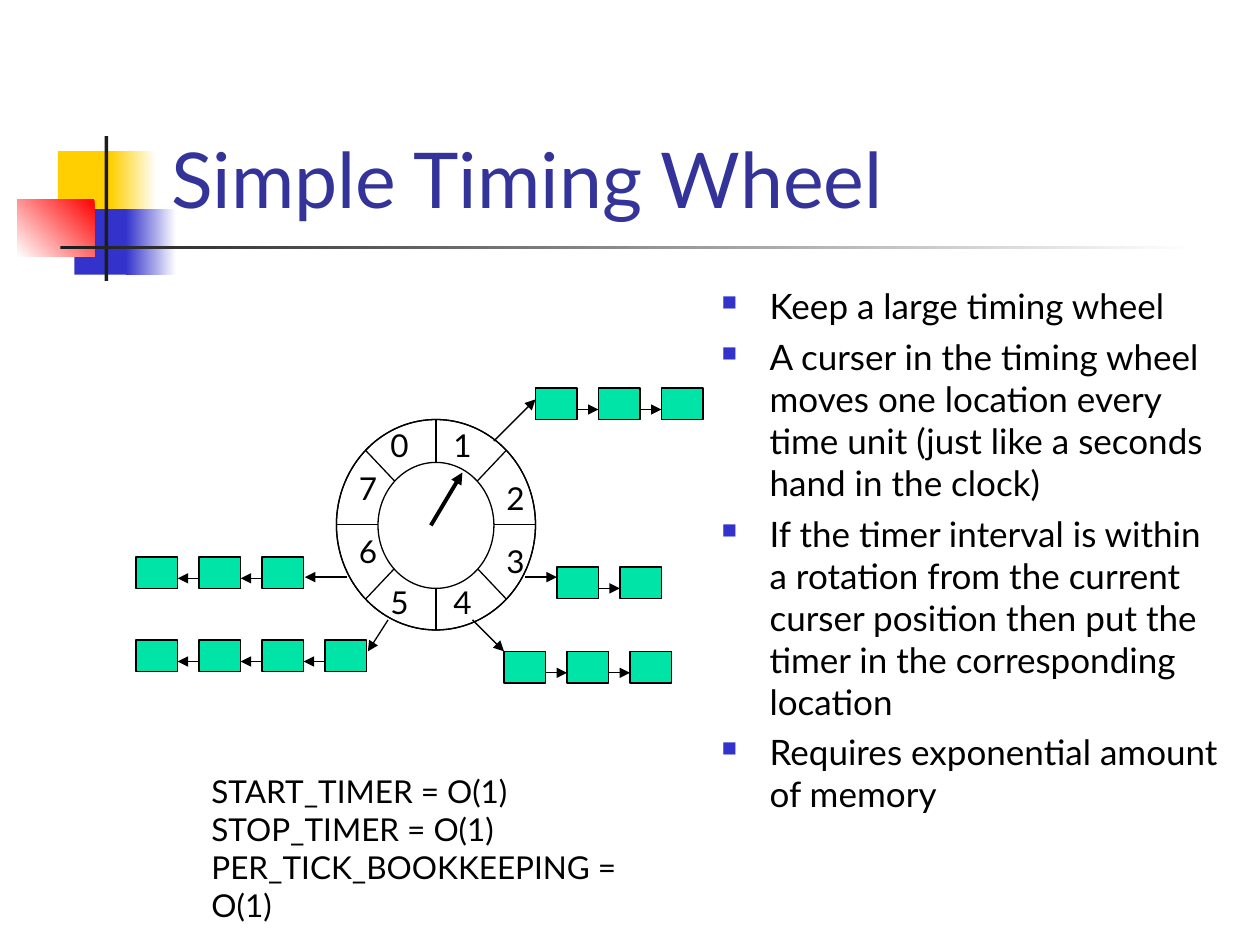
from dataclasses import dataclass

import lxml.etree
import pptx
import pptx.dml.color
import pptx.enum.shapes
import pptx.enum.text
import pptx.oxml.ns
import pptx.util

Inches = pptx.util.Inches
Pt = pptx.util.Pt
SHAPE = pptx.enum.shapes.MSO_SHAPE
ANCHOR = pptx.enum.text.MSO_ANCHOR
qn = pptx.oxml.ns.qn

COLORS = {
    "white": "FFFFFF", "black": "000000", "ink": "1C1C1C", "yellow": "FFCF01",
    "blue": "3333CC", "red": "FF0000", "title": "333399", "timer": "00E4A8",
}
BOX_W, BOX_H, PITCH, LINK_DROP = 0.33, 0.25, 0.5, 0.17


@dataclass
class Decoration:
    left: float
    top: float
    width: float
    height: float
    color: str
    fade_angle: int | None = None


@dataclass
class Chain:
    left: float
    top: float
    count: int
    leftward: bool
    start: tuple[float, float]
    end: tuple[float, float]


@dataclass
class SlotLabel:
    text: str
    left: float
    top: float


DECORATIONS = [
    Decoration(0.46, 1.2, 0.48, 0.52, "yellow"),
    Decoration(0.88, 1.2, 0.36, 0.52, "yellow", 0),
    Decoration(0.59, 1.66, 0.46, 0.52, "blue"),
    Decoration(1, 1.66, 0.4, 0.52, "blue", 0),
    Decoration(0.14, 1.58, 0.61, 0.46, "red", 225),
    Decoration(0.83, 1.08, 0.03, 1.15, "ink"),
    Decoration(0.48, 1.95, 9, 0.03, "ink", 0),
]
CHAINS = [
    Chain(4.25, 3.08, 3, False, (3.92, 3.5), (4.25, 3.17)),
    Chain(4.42, 4.5, 2, False, (4.17, 4.58), (4.42, 4.58)),
    Chain(4, 5.17, 3, False, (3.75, 4.92), (4, 5.17)),
    Chain(1.08, 5.08, 4, True, (3.08, 4.92), (2.92, 5.17)),
    Chain(1.08, 4.42, 3, True, (2.75, 4.58), (2.42, 4.58)),
]
SLOTS = [
    SlotLabel("0", 3, 3.33), SlotLabel("1", 3.5, 3.33),
    SlotLabel("2", 3.92, 3.75), SlotLabel("3", 3.92, 4.25),
    SlotLabel("4", 3.5, 4.58), SlotLabel("5", 3, 4.58),
    SlotLabel("6", 2.75, 4.17), SlotLabel("7", 2.75, 3.67),
]
POINTS = [
    "Keep a large timing wheel",
    "A curser in the timing wheel moves one location every time unit "
    "(just like a seconds hand in the clock)",
    "If the timer interval is within a rotation from the current curser "
    "position then put the timer in the corresponding location",
    "Requires exponential amount of memory",
]
COSTS = ["START_TIMER = O(1)", "STOP_TIMER = O(1)", "PER_TICK_BOOKKEEPING = O(1)"]


def rgb(name: str):
    return pptx.dml.color.RGBColor.from_string(COLORS[name])


def add_shape(s, kind, left: float, top: float, width: float, height: float,
              fill: str | None = None, outlined: bool = True):
    sp = s.shapes.add_shape(kind, Inches(left), Inches(top), Inches(width), Inches(height))
    sp.shadow.inherit = False
    if fill:
        sp.fill.solid()
        sp.fill.fore_color.rgb = rgb(fill)
    else:
        sp.fill.background()
    if outlined:
        sp.line.color.rgb = rgb("black")
        sp.line.width = Pt(0.75)
    else:
        sp.line.fill.background()
    return sp


def add_decoration(s, d: Decoration) -> None:
    sp = add_shape(s, SHAPE.RECTANGLE, d.left, d.top, d.width, d.height, d.color, False)
    if d.fade_angle is not None:
        sp.fill.gradient()
        sp.fill.gradient_angle = d.fade_angle
        for stop, color in zip(sp.fill.gradient_stops, (d.color, "white")):
            stop.color.rgb = rgb(color)


def add_arrow(s, start: tuple[float, float], end: tuple[float, float],
              width: float = 0.75) -> None:
    line = s.shapes.add_connector(pptx.enum.shapes.MSO_CONNECTOR.STRAIGHT,
                                  *(Inches(v) for v in (*start, *end)))
    line.line.color.rgb = rgb("black")
    line.line.width = Pt(width)
    ln = line.line._get_or_add_ln()
    lxml.etree.SubElement(ln, qn("a:tailEnd"), type="triangle")
    lxml.etree.SubElement(line._element.spPr, qn("a:effectLst"))


def add_chain(s, chain: Chain) -> None:
    lefts = [chain.left + i * PITCH for i in range(chain.count)]
    for left in lefts:
        add_shape(s, SHAPE.RECTANGLE, left, chain.top, BOX_W, BOX_H, "timer")
    y = chain.top + LINK_DROP
    for left, following in zip(lefts, lefts[1:]):
        ends = [(left + BOX_W, y), (following, y)]
        add_arrow(s, *(reversed(ends) if chain.leftward else ends))
    add_arrow(s, chain.start, chain.end)


def add_bullet(p) -> None:
    pPr = p._p.get_or_add_pPr()
    pPr.set("marL", str(Inches(0.38)))
    pPr.set("indent", str(-Inches(0.38)))
    color = lxml.etree.SubElement(pPr, qn("a:buClr"))
    lxml.etree.SubElement(color, qn("a:srgbClr"), val=COLORS["blue"])
    lxml.etree.SubElement(pPr, qn("a:buSzPct"), val="60000")
    lxml.etree.SubElement(pPr, qn("a:buChar"), char="■")


def add_text(s, lines: list[str], left: float, top: float, width: float, height: float,
             size: float, color: str = "black", bulleted: bool = False,
             wrap: bool = True, anchor=ANCHOR.TOP) -> None:
    tf = s.shapes.add_textbox(Inches(left), Inches(top), Inches(width), Inches(height)).text_frame
    for name, value in {"word_wrap": wrap, "vertical_anchor": anchor}.items():
        setattr(tf, name, value)
    for i, text in enumerate(lines):
        p = tf.add_paragraph() if i else tf.paragraphs[0]
        if bulleted:
            add_bullet(p)
            if i:
                p.space_before = Pt(5)
        r = p.add_run()
        r.text = text
        for name, value in {"name": "Lato", "size": Pt(size)}.items():
            setattr(r.font, name, value)
        r.font.color.rgb = rgb(color)


def main() -> None:
    prs = pptx.Presentation()
    prs.slide_width, prs.slide_height = Inches(10), Inches(7.5)
    s = prs.slides.add_slide(prs.slide_layouts[6])

    for decoration in DECORATIONS:
        add_decoration(s, decoration)
    add_text(s, ["Simple Timing Wheel"], 1.26, 0.23, 8.52, 1.6, 44, "title",
             anchor=ANCHOR.BOTTOM)
    add_text(s, POINTS, 5.63, 2.21, 4.17, 4.5, 20, bulleted=True)

    for kind in (SHAPE.FLOWCHART_SUMMING_JUNCTION, SHAPE.FLOWCHART_OR):
        add_shape(s, kind, 2.67, 3.33, 1.58, 1.67)
    add_shape(s, SHAPE.OVAL, 3, 3.67, 0.92, 1, "white")
    add_arrow(s, (3.42, 4.17), (3.67, 3.75), 2.25)
    for slot in SLOTS:
        add_text(s, [slot.text], slot.left, slot.top, 0.34, 0.4, 18, wrap=False)
    for chain in CHAINS:
        add_chain(s, chain)
    add_text(s, COSTS, 1.58, 6.08, 3.93, 1, 18)

    prs.save("out.pptx")


if __name__ == "__main__":
    main()
